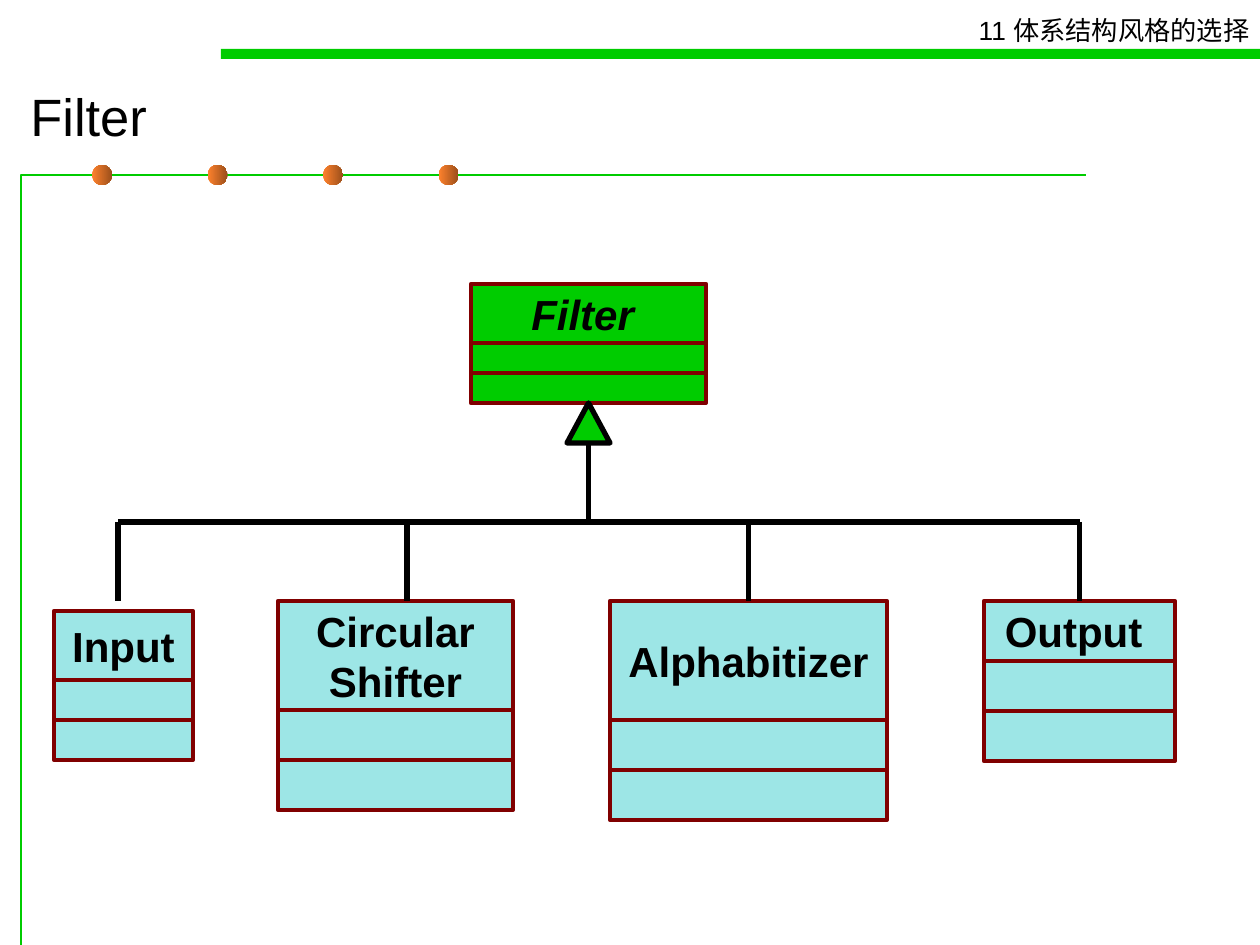
from lxml import etree
from pptx import Presentation
from pptx.dml.color import RGBColor
from pptx.enum.shapes import MSO_CONNECTOR, MSO_SHAPE
from pptx.enum.text import MSO_ANCHOR, PP_ALIGN
from pptx.oxml.ns import qn
from pptx.util import Emu, Pt

RECT, OVAL, TRIANGLE = MSO_SHAPE.RECTANGLE, MSO_SHAPE.OVAL, MSO_SHAPE.ISOSCELES_TRIANGLE
STRAIGHT = MSO_CONNECTOR.STRAIGHT
MIDDLE = MSO_ANCHOR.MIDDLE
LEFT, CENTER, RIGHT = PP_ALIGN.LEFT, PP_ALIGN.CENTER, PP_ALIGN.RIGHT

EMU_PER_PX = 914400 / 126
GREEN, TEAL, MAROON, BLACK = "00CC00", "33CCCC", "800000", "000000"


def px(*lengths):
    return [Emu(round(length * EMU_PER_PX)) for length in lengths]


def rgb(color):
    return RGBColor.from_string(color)


prs = Presentation()
prs.slide_width, prs.slide_height = px(1260, 945)
slide = prs.slides.add_slide(prs.slide_layouts[6])
shapes = slide.shapes

# Frame line, dots and header bar
outline = shapes.build_freeform(21, 945, scale=EMU_PER_PX)
outline.add_line_segments([(21, 175), (1086, 175)], close=False)
frame = outline.convert_to_shape()
frame.shadow.inherit = False
frame.fill.background()
frame.line.color.rgb = rgb(GREEN)
frame.line.width = Pt(0.75)

for i in range(4):
    dot = shapes.add_shape(OVAL, *px(92 + 115.5 * i, 165, 20, 20))
    dot.shadow.inherit = False
    dot.line.fill.background()
    dot.fill.gradient()
    dot.fill.gradient_angle = 0
    for stop, color in zip(dot.fill.gradient_stops, ("FF822D", "9B4F1B")):
        stop.color.rgb = rgb(color)

bar = shapes.add_shape(RECT, *px(221, 49, 1039, 10))
bar.shadow.inherit = False
bar.fill.solid()
bar.fill.fore_color.rgb = rgb(GREEN)
bar.line.fill.background()

# Chapter name and slide title
for words, place, size, align, wrap in [
    ("11 体系结构风格的选择", (959, 8, 303, 44), 15, RIGHT, False),
    ("Filter", (18, 71, 1170, 90), 30, LEFT, True),
]:
    frame = shapes.add_textbox(*px(*place)).text_frame
    frame.word_wrap = wrap
    frame.vertical_anchor = MIDDLE
    paragraph = frame.paragraphs[0]
    paragraph.text = words
    paragraph.alignment = align
    paragraph.font.size = Pt(size)
    paragraph.font.name = "Arial"
    paragraph.font.color.rgb = rgb(BLACK)

# Classes: name, left, top, width, heights of the name and the two empty rows
classes = [
    ("Filter ", 471, 284, 235, (59, 30, 30)),
    ("Input", 54, 611, 139, (69, 40, 40)),
    ("Circular\nShifter", 278, 601, 235, (109, 50, 50)),
    ("Alphabitizer", 610, 601, 277, (119, 50, 50)),
    ("Output ", 984, 601, 191, (60, 50, 50)),
]
name_boxes = {}
for name, left, top, width, heights in classes:
    is_parent = name == "Filter "
    for row, height in enumerate(heights):
        box = shapes.add_shape(RECT, *px(left, top, width, height))
        top += height
        box.shadow.inherit = False
        box.fill.solid()
        box.fill.fore_color.rgb = rgb(GREEN if is_parent else TEAL)
        if not is_parent:
            fill_color = box.fill._xPr.find(qn("a:solidFill"))[0]
            etree.SubElement(fill_color, qn("a:alpha")).set("val", "48000")
        box.line.color.rgb = rgb(MAROON)
        box.line.width = Pt(2.5)
        if row:
            continue
        name_boxes[name] = box
        label = box.text_frame
        label.text = name
        label.word_wrap = False
        label.vertical_anchor = MIDDLE
        for paragraph in label.paragraphs:
            paragraph.alignment = CENTER
            font = paragraph.runs[0].font
            font.name = "Arial"
            font.size = Pt(24)
            font.bold = True
            font.italic = is_parent
            font.color.rgb = rgb(BLACK)

# Inheritance tree: a bus, a branch to each subclass, and the stem
BUS_Y, BRANCH_END = 522, 601
for x1, y1, x2, y2, subclass in [
    (118, BUS_Y, 1080, BUS_Y, None),
    (118, BUS_Y, 118, BRANCH_END, None),
    (407, BUS_Y, 407, BRANCH_END, None),
    (748.5, BUS_Y, 748.5, BRANCH_END, "Alphabitizer"),
    (1079.5, BUS_Y, 1079.5, BRANCH_END, "Output "),
    (588.5, BUS_Y, 588.5, 432, None),
]:
    branch = shapes.add_connector(STRAIGHT, *px(x1, y1, x2, y2))
    branch.line.color.rgb = rgb(BLACK)
    branch.line.width = Pt(3)
    etree.SubElement(branch._element.spPr, qn("a:effectLst"))
    if subclass:
        branch.end_connect(name_boxes[subclass], 0)

arrow = shapes.add_shape(TRIANGLE, *px(567, 403, 43, 40))
arrow.shadow.inherit = False
arrow.fill.solid()
arrow.fill.fore_color.rgb = rgb(GREEN)
arrow.line.color.rgb = rgb(BLACK)
arrow.line.width = Pt(3)

prs.save("out.pptx")
